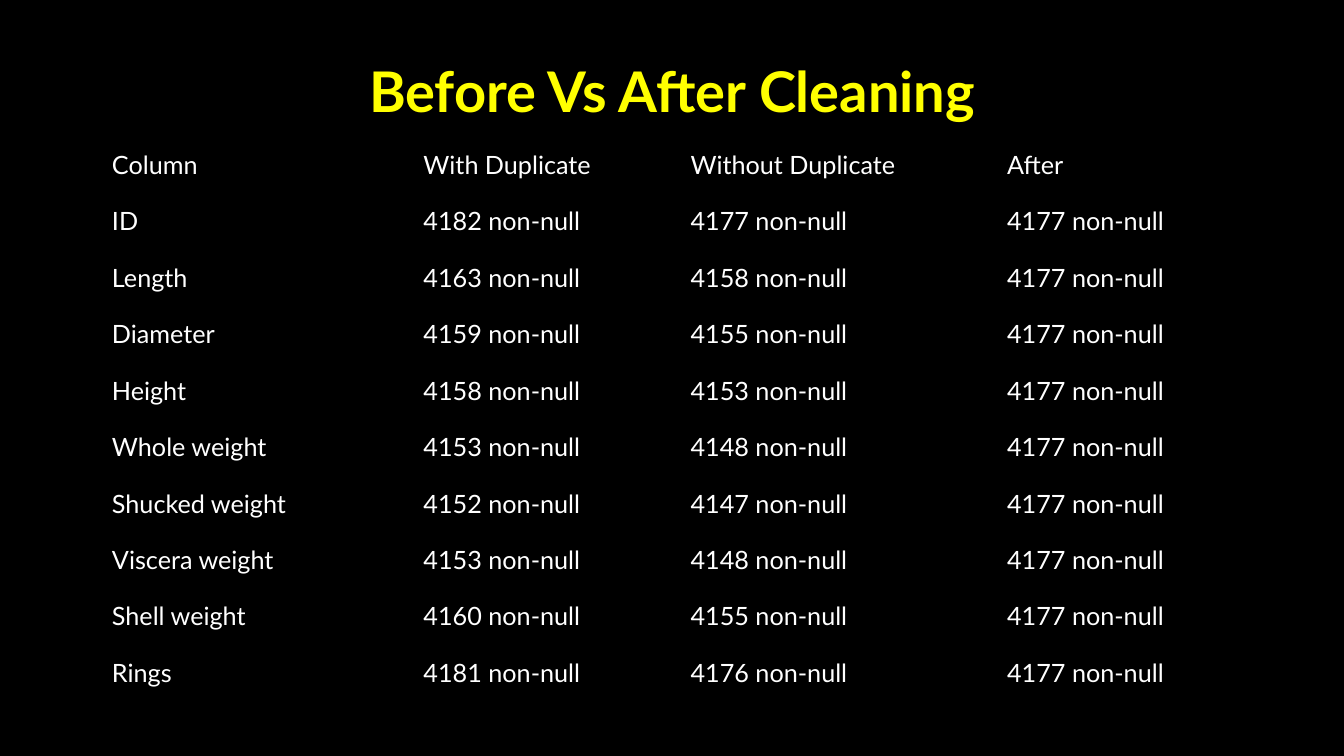
from dataclasses import dataclass

from lxml import etree
from pptx import Presentation
from pptx import util as u
from pptx.dml.color import RGBColor
from pptx.enum import shapes, text
from pptx.oxml import ns

BLACK = RGBColor(0, 0, 0)
WHITE = RGBColor(255, 255, 255)
YELLOW = RGBColor(255, 255, 0)
FONT = "Lato"
COLUMN_WIDTHS = (222.5, 190.8, 226.1, 207.4)
ROW_HEIGHT = 40.32
HEADERS = ("Column", "With Duplicate", "Without Duplicate", "After")
ROWS_AFTER = 4177


@dataclass(frozen=True)
class ColumnCount:
    name: str
    with_duplicate: int
    without_duplicate: int

    def cells(self) -> tuple[str, ...]:
        counts = (self.with_duplicate, self.without_duplicate, ROWS_AFTER)
        return (self.name, *(f"{count} non-null" for count in counts))


COUNTS = (
    ColumnCount("ID", 4182, 4177),
    ColumnCount("Length", 4163, 4158),
    ColumnCount("Diameter", 4159, 4155),
    ColumnCount("Height", 4158, 4153),
    ColumnCount("Whole weight", 4153, 4148),
    ColumnCount("Shucked weight", 4152, 4147),
    ColumnCount("Viscera weight", 4153, 4148),
    ColumnCount("Shell weight", 4160, 4155),
    ColumnCount("Rings", 4181, 4176),
)


def style_text(p, size: float, color: RGBColor, bold: bool = False) -> None:
    for r in p.runs:
        r.font.name = FONT
        r.font.size = u.Pt(size)
        r.font.bold = bold
        r.font.color.rgb = color


def add_borders(cell) -> None:
    properties = cell._tc.get_or_add_tcPr()
    for side in ("L", "R", "T", "B"):
        line = etree.SubElement(properties, ns.qn(f"a:ln{side}"), w=str(u.Pt(1)))
        fill = etree.SubElement(line, ns.qn("a:solidFill"))
        etree.SubElement(fill, ns.qn("a:srgbClr"), val=str(BLACK))


def fill_cell(cell, content: str) -> None:
    add_borders(cell)
    cell.fill.background()
    cell.margin_left = cell.margin_right = u.Pt(8)
    cell.margin_top = u.Pt(1.4)
    cell.margin_bottom = u.Pt(0)
    cell.text_frame.text = content
    p = cell.text_frame.paragraphs[0]
    p.line_spacing = 1.15
    p.space_after = u.Pt(8)
    style_text(p, 18, WHITE)


def add_title_band(s) -> None:
    band = s.shapes.add_shape(
        shapes.MSO_SHAPE.RECTANGLE, u.Pt(0), u.Pt(0), u.Pt(960), u.Pt(134)
    )
    band.shadow.inherit = False
    band.fill.solid()
    band.fill.fore_color.rgb = BLACK
    band.line.fill.background()


def add_title(s, title: str) -> None:
    sp = s.shapes.add_textbox(u.Pt(90), u.Pt(21.6), u.Pt(780), u.Pt(91.4))
    tf = sp.text_frame
    tf.word_wrap = True
    tf.vertical_anchor = text.MSO_ANCHOR.MIDDLE
    tf.text = title
    p = tf.paragraphs[0]
    p.alignment = text.PP_ALIGN.CENTER
    p.line_spacing = 0.9
    style_text(p, 40, YELLOW, bold=True)


def add_counts_table(s) -> None:
    rows = (HEADERS, *(count.cells() for count in COUNTS))
    table = s.shapes.add_table(
        len(rows), len(HEADERS), u.Pt(72), u.Pt(102.2),
        u.Pt(sum(COLUMN_WIDTHS)), u.Pt(ROW_HEIGHT * len(rows)),
    ).table
    table.first_row = False
    table.horz_banding = False
    for column, width in zip(table.columns, COLUMN_WIDTHS):
        column.width = u.Pt(width)
    for row, contents in zip(table.rows, rows):
        row.height = u.Pt(ROW_HEIGHT)
        for cell, content in zip(row.cells, contents):
            fill_cell(cell, content)


def main() -> None:
    prs = Presentation()
    prs.slide_width, prs.slide_height = u.Pt(960), u.Pt(540)
    s = prs.slides.add_slide(prs.slide_layouts[6])
    s.background.fill.solid()
    s.background.fill.fore_color.rgb = BLACK
    add_title_band(s)
    add_title(s, "Before Vs After Cleaning")
    add_counts_table(s)
    prs.save("out.pptx")


if __name__ == "__main__":
    main()
